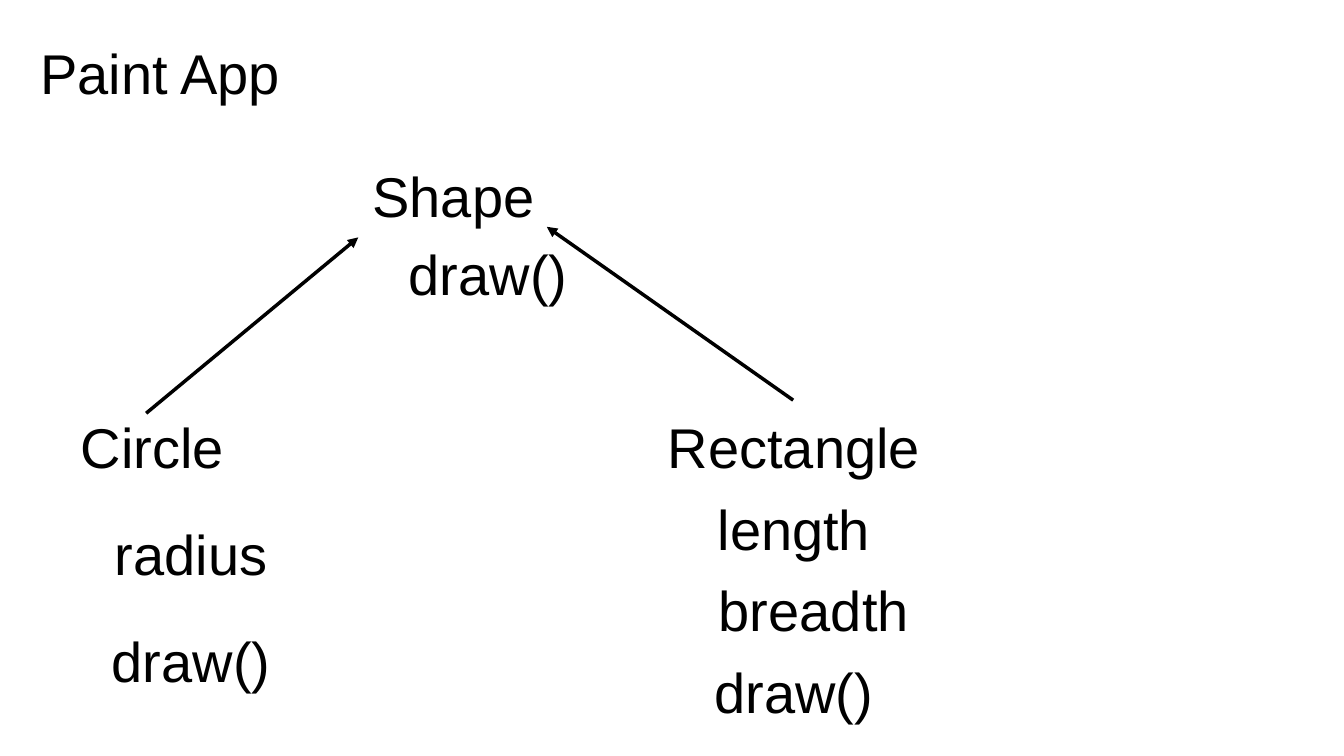
from typing import NamedTuple

from lxml import etree
from pptx import Presentation
from pptx.dml.color import RGBColor
from pptx.enum import shapes, text
from pptx.oxml import ns
from pptx.util import Inches, Pt

INK = "000000"
LABEL_HEIGHT = 1.44
INSET = 0.06


class Label(NamedTuple):
    words: str
    left: float
    top: float
    width: float


class Arrow(NamedTuple):
    start: tuple[float, float]
    tip: tuple[float, float]


DRAW_WIDTH = 3.33
SUBCLASS_TOP = 8.14
LABELS = [
    Label("Paint App", 0.68, 0.71, 5),
    Label("Shape", 7.33, 3.15, 3.34),
    Label("draw()", 8.02, 4.7, DRAW_WIDTH),
    Label("Circle", 1.52, SUBCLASS_TOP, 3.01),
    Label("radius", 2.19, 10.26, 3.21),
    Label("draw()", 2.13, 12.38, DRAW_WIDTH),
    Label("Rectangle", 13.16, SUBCLASS_TOP, 5.19),
    Label("length", 14.15, 9.75, 3.21),
    Label("breadth", 14.15, 11.37, 4),
    Label("draw()", 14.09, 12.99, DRAW_WIDTH),
]
INHERITANCE = [
    Arrow((2.9, 8.2), (7.11, 4.71)),
    Arrow((15.74, 7.94), (10.85, 4.5)),
]


def color(value: str) -> RGBColor:
    return RGBColor.from_string(value)


def add_label(page, label: Label) -> None:
    box = page.shapes.add_textbox(
        Inches(label.left), Inches(label.top), Inches(label.width), Inches(LABEL_HEIGHT)
    )
    frame = box.text_frame
    frame.text = label.words
    frame.word_wrap = False
    frame.auto_size = text.MSO_AUTO_SIZE.SHAPE_TO_FIT_TEXT
    frame.vertical_anchor = text.MSO_ANCHOR.MIDDLE
    frame.margin_left = frame.margin_right = Inches(INSET)
    frame.margin_top = frame.margin_bottom = Inches(INSET)
    para = frame.paragraphs[0]
    para.alignment = text.PP_ALIGN.CENTER
    span = para.runs[0]
    span.font.name = "Arial"
    span.font.size = Pt(80)
    span.font.color.rgb = color(INK)


def add_arrow(page, arrow: Arrow) -> None:
    line = page.shapes.add_connector(
        shapes.MSO_CONNECTOR.STRAIGHT, *map(Inches, arrow.start + arrow.tip)
    )
    line.line.width = Pt(5)
    line.line.color.rgb = color(INK)
    properties = line.element.spPr
    outline = properties.find(ns.qn("a:ln"))
    etree.SubElement(outline, ns.qn("a:tailEnd"), type="triangle")
    etree.SubElement(properties, ns.qn("a:effectLst"))


def main() -> None:
    deck = Presentation()
    deck.slide_width, deck.slide_height = Inches(26.67), Inches(15)
    page = deck.slides.add_slide(deck.slide_layouts[6])
    for label in LABELS:
        add_label(page, label)
    for arrow in INHERITANCE:
        add_arrow(page, arrow)
    deck.save("out.pptx")


if __name__ == "__main__":
    main()
